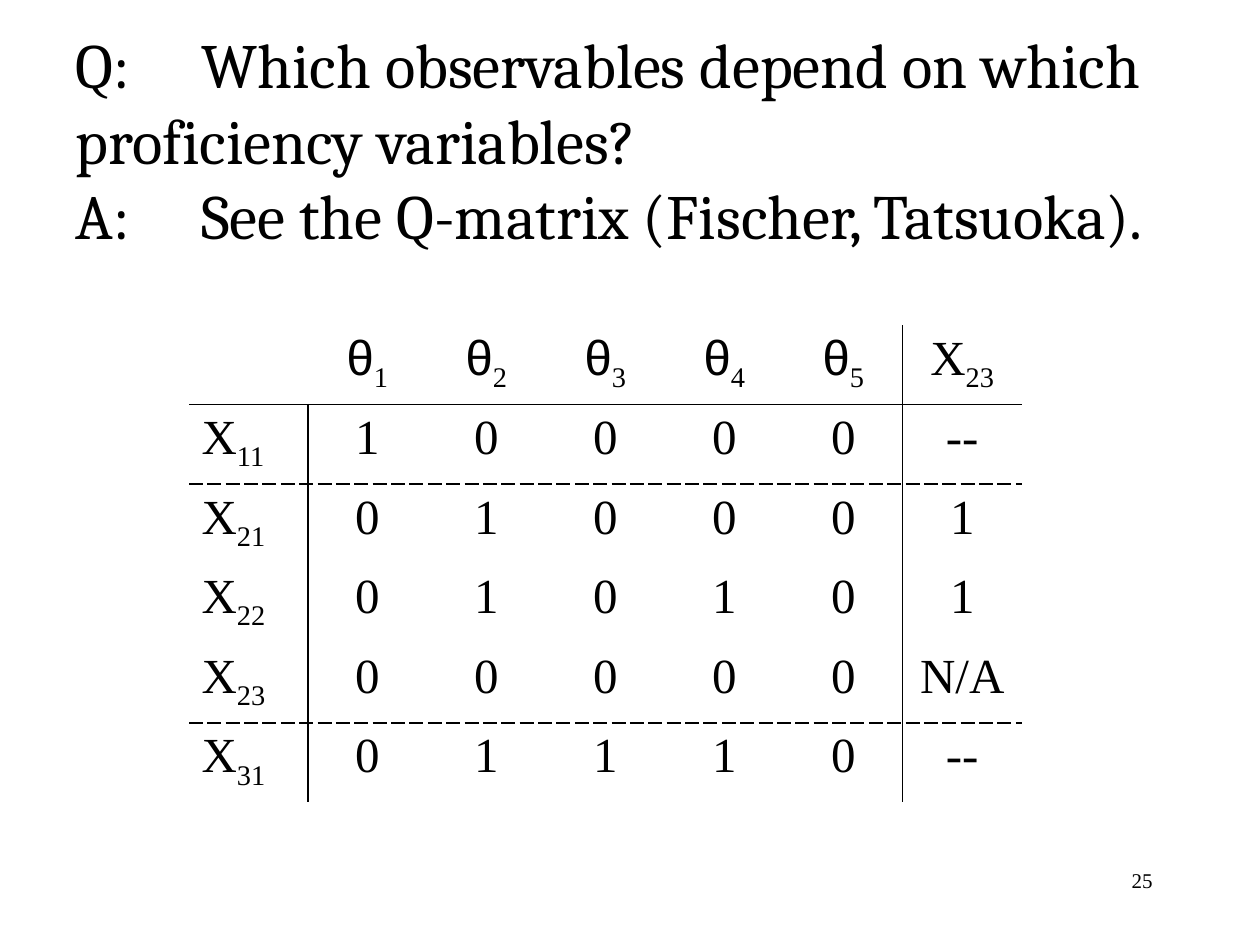
"""Builds a slide with a Q-matrix linking observables to proficiency variables."""
from lxml import etree
from pptx import Presentation
from pptx.dml.color import RGBColor
from pptx.enum.text import MSO_ANCHOR, PP_ALIGN
from pptx.oxml.ns import qn
from pptx.util import Pt

LEFT, CENTER, RIGHT = PP_ALIGN.LEFT, PP_ALIGN.CENTER, PP_ALIGN.RIGHT
TOP, MIDDLE = MSO_ANCHOR.TOP, MSO_ANCHOR.MIDDLE
COLORS = {"ink": "000000"}
SERIF, SANS, TITLE = "Times New Roman", "Arial", "Cambria"
NO_GRID_STYLE = "{2D5ABB26-0587-4C30-8999-92F81FD0307C}"
PLAIN_TABLE = False


def px(n):
    return round(n * 914400 / 126)


def write(p, text, size=28, font=SERIF, align=LEFT, sub=False):
    p.alignment = align
    r = p.add_run()
    r.text = text
    r.font.size = Pt(size)
    r.font.name = font
    r.font.color.rgb = RGBColor.from_string(COLORS["ink"])
    if sub:
        r.font._element.set("baseline", "-25000")


prs = Presentation()
prs.slide_width, prs.slide_height = px(1260), px(945)
s = prs.slides.add_slide(prs.slide_layouts[6])

# title
tf = s.shapes.add_textbox(px(63), px(38), px(1176), px(277)).text_frame
tf.word_wrap = True
tf.vertical_anchor = MIDDLE
tf.margin_top, tf.margin_bottom = 0, px(75)
write(tf.paragraphs[0], "Q: \tWhich observables depend on which proficiency variables?",
      size=36, font=TITLE)
write(tf.add_paragraph(), "A: \tSee the Q-matrix (Fischer, Tatsuoka).",
      size=36, font=TITLE)

header = ["", "θ1", "θ2", "θ3", "θ4", "θ5", "X23"]
rows = [
    ["X11", "1", "0", "0", "0", "0", "--"],
    ["X21", "0", "1", "0", "0", "0", "1"],
    ["X22", "0", "1", "0", "1", "0", "1"],
    ["X23", "0", "0", "0", "0", "0", "N/A"],
    ["X31", "0", "1", "1", "1", "0", "--"],
]
matrix = [header] + rows
row_rules = {0: "solid", 1: "dash", 4: "dash"}
col_rules = {0: 1, 5: 0}

table = s.shapes.add_table(len(matrix), len(header), px(189), px(325),
                           px(7 * 119), px(6 * 79)).table
table.first_row = table.horz_banding = PLAIN_TABLE
table._tbl.tblPr.find(qn("a:tableStyleId")).text = NO_GRID_STYLE
for col in table.columns:
    col.width = px(119)
for row in table.rows:
    row.height = px(79)

for i, values in enumerate(matrix):
    for j, value in enumerate(values):
        cell = table.cell(i, j)
        cell.vertical_anchor = TOP
        cell.fill.background()
        p = cell.text_frame.paragraphs[0]
        align = CENTER if j else LEFT
        if value[:1] in ("θ", "X"):
            write(p, value[0], font=SANS if value[0] == "θ" else SERIF, align=align)
            write(p, value[1:], align=align, sub=True)
        elif value:
            write(p, value, align=align)

        edges = {
            "L": "solid" if i >= col_rules.get(j - 1, len(matrix)) else None,
            "R": "solid" if i >= col_rules.get(j, len(matrix)) else None,
            "T": row_rules.get(i - 1),
            "B": row_rules.get(i),
        }
        tcPr = cell._tc.get_or_add_tcPr()
        for k, (side, dash) in enumerate(edges.items()):
            ln = etree.Element(qn("a:ln" + side), w=str(Pt(1)))
            if dash:
                fill = etree.SubElement(ln, qn("a:solidFill"))
                etree.SubElement(fill, qn("a:srgbClr"), val=COLORS["ink"])
                etree.SubElement(ln, qn("a:prstDash"), val=dash)
            else:
                etree.SubElement(ln, qn("a:noFill"))
            tcPr.insert(k, ln)

tf = s.shapes.add_textbox(px(903), px(861), px(262), px(63)).text_frame
tf.word_wrap = True
write(tf.paragraphs[0], "25", size=12, align=RIGHT)

prs.save("out.pptx")
